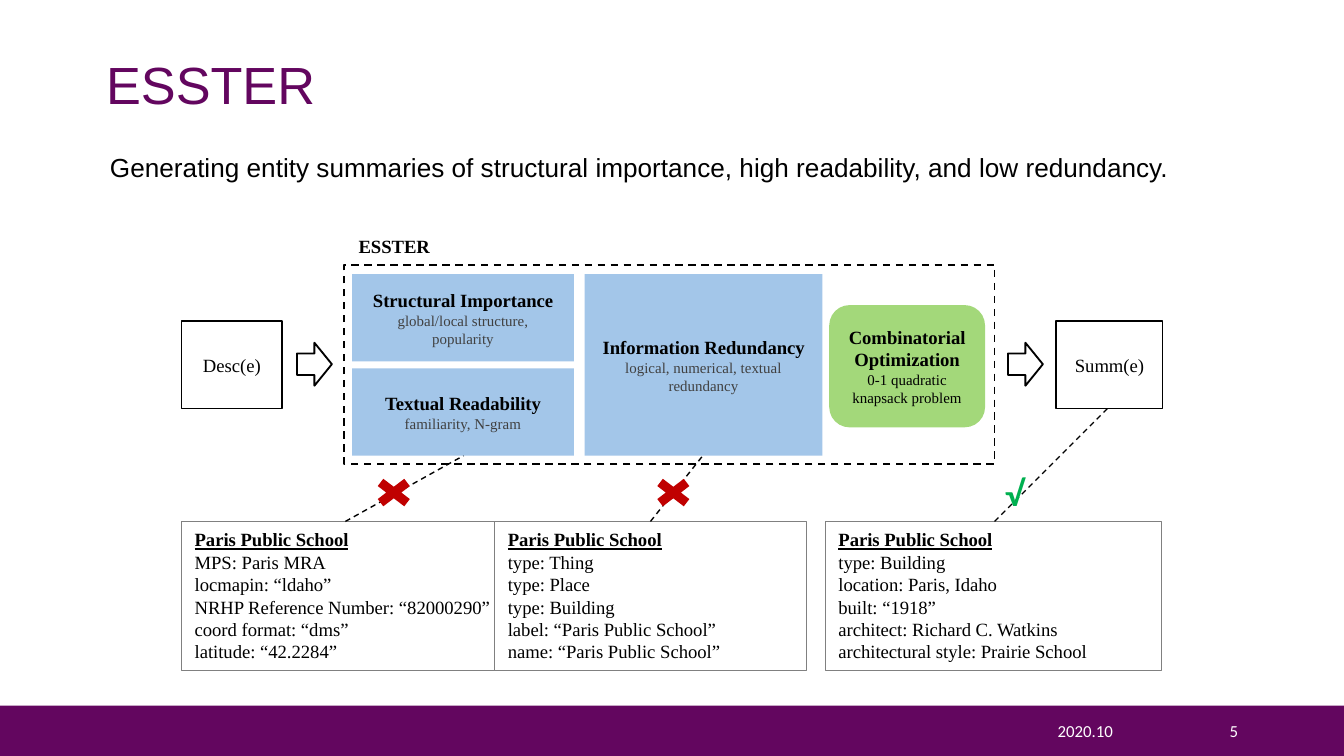
"""Build the ESSTER overview slide: pipeline diagram with three example summaries."""
from lxml.etree import SubElement
from pptx import Presentation
from pptx.dml.color import RGBColor
from pptx.enum.dml import MSO_LINE
from pptx.enum.shapes import MSO_CONNECTOR, MSO_SHAPE
from pptx.enum.text import MSO_ANCHOR, PP_ALIGN
from pptx.oxml.ns import qn
from pptx.util import Inches, Pt

PURPLE = RGBColor(0x63, 0x06, 0x5F)
BLUE = RGBColor(0xA3, 0xC6, 0xE9)
LIME = RGBColor(0xA3, 0xD8, 0x7A)
GREEN = RGBColor(0x00, 0xB0, 0x50)
RED = RGBColor(0xC0, 0x00, 0x00)
GRAY = RGBColor(0x80, 0x80, 0x80)
DARK = RGBColor(0x40, 0x40, 0x40)
BLACK = RGBColor(0, 0, 0)
WHITE = RGBColor(0xFF, 0xFF, 0xFF)
SERIF = "Times New Roman"

TITLE = "ESSTER"
TAGLINE = ("Generating entity summaries of structural importance, "
           "high readability, and low redundancy.")
ENTITY = "Paris Public School"
SUMMARIES = [
    (1.35, 2.44, ["MPS: Paris MRA", "locmapin: “ldaho”",
                  "NRHP Reference Number: “82000290”",
                  "coord format: “dms”", "latitude: “42.2284”"]),
    (3.68, 2.32, ["type: Thing", "type: Place", "type: Building",
                  "label: “Paris Public School”", "name: “Paris Public School”"]),
    (6.14, 2.5, ["type: Building", "location: Paris, Idaho", "built: “1918”",
                 "architect: Richard C. Watkins",
                 "architectural style: Prairie School"]),
]
SUMMARY_TOP, SUMMARY_HEIGHT = 3.88, 1.11
LINKS = [(2.57, 3.45, 3.39), (4.84, 5.23, 3.39), (7.4, 8.25, 3.03)]
CROSSES = [2.74, 4.82]
ARROWS = [2.21, 7.5]
ENDPOINTS = [("Desc(e)", 1.35, 0.75), ("Summ(e)", 7.86, 0.79)]
MODULES = [
    ("Structural Importance", "global/local structure, popularity",
     (2.62, 2.04, 1.65, 0.65), MSO_SHAPE.RECTANGLE, BLUE, DARK),
    ("Textual Readability", "familiarity, N-gram",
     (2.62, 2.74, 1.65, 0.65), MSO_SHAPE.RECTANGLE, BLUE, DARK),
    ("Information Redundancy", "logical, numerical, textual redundancy",
     (4.35, 2.04, 1.77, 1.35), MSO_SHAPE.RECTANGLE, BLUE, DARK),
    ("Combinatorial Optimization", "0-1 quadratic knapsack problem",
     (6.17, 2.27, 1.16, 0.91), MSO_SHAPE.ROUNDED_RECTANGLE, LIME, BLACK),
]
LABELS = [
    ("2020.10", (7.39, 5.29, 1.37, 0.3), 9, "Calibri", WHITE, False,
     PP_ALIGN.CENTER, MSO_ANCHOR.MIDDLE),
    ("5", (8.76, 5.29, 0.55, 0.3), 9, "Calibri", WHITE, False,
     PP_ALIGN.RIGHT, MSO_ANCHOR.MIDDLE),
    (TITLE, (2.57, 1.7, 0.74, 0.27), 10, SERIF, BLACK, True,
     PP_ALIGN.LEFT, MSO_ANCHOR.TOP),
    ("√", (7.38, 3.47, 0.45, 0.4), 18, "Lato", GREEN, True,
     PP_ALIGN.LEFT, MSO_ANCHOR.TOP),
    (TAGLINE, (0.72, 1.08, 8.54, 0.34), 14, "Arial", BLACK, False,
     PP_ALIGN.LEFT, MSO_ANCHOR.TOP),
]


def place(box):
    return [Inches(length) for length in box]


def style(paragraph, size, font=SERIF, color=BLACK, bold=False, align=PP_ALIGN.LEFT):
    paragraph.alignment = align
    for run in paragraph.runs:
        run.font.size = Pt(size)
        run.font.name = font
        run.font.bold = bold
        run.font.color.rgb = color


def add_block(slide, preset, box, fill=None, line=None, width=1):
    block = slide.shapes.add_shape(preset, *place(box))
    block.shadow.inherit = False
    if fill is None:
        block.fill.background()
    else:
        block.fill.solid()
        block.fill.fore_color.rgb = fill
    if line is None:
        block.line.fill.background()
    else:
        block.line.color.rgb = line
        block.line.width = Pt(width)
    return block


def write(frame, lines, anchor):
    frame.word_wrap = True
    frame.vertical_anchor = anchor
    frame.text = "\n".join(lines)
    return frame.paragraphs


def add_summaries(slide):
    for left, width, facts in SUMMARIES:
        card = add_block(slide, MSO_SHAPE.RECTANGLE,
                         (left, SUMMARY_TOP, width, SUMMARY_HEIGHT), WHITE, GRAY, 0.25)
        heading, *details = write(card.text_frame, [ENTITY, *facts], MSO_ANCHOR.TOP)
        style(heading, 10, bold=True)
        heading.runs[0].font.underline = True
        for detail in details:
            style(detail, 10)
    for start, end, top in LINKS:
        link = slide.shapes.add_connector(
            MSO_CONNECTOR.STRAIGHT, *place((start, SUMMARY_TOP, end, top)))
        link.line.color.rgb = BLACK
        link.line.width = Pt(0.75)
        link.line.dash_style = MSO_LINE.DASH
        SubElement(link._element.spPr, qn("a:effectLst"))
    for left in CROSSES:
        add_block(slide, MSO_SHAPE.MATH_MULTIPLY, (left, 3.52, 0.38, 0.29), RED)


def add_pipeline(slide):
    for left in ARROWS:
        add_block(slide, MSO_SHAPE.RIGHT_ARROW, (left, 2.55, 0.26, 0.32), WHITE, BLACK)
    for name, left, width in ENDPOINTS:
        endpoint = add_block(slide, MSO_SHAPE.RECTANGLE,
                             (left, 2.39, width, 0.65), WHITE, BLACK)
        style(write(endpoint.text_frame, [name], MSO_ANCHOR.MIDDLE)[0], 10,
              align=PP_ALIGN.CENTER)
    for name, detail, box, preset, fill, detail_color in MODULES:
        module = add_block(slide, preset, box, fill)
        heading, note = write(module.text_frame, [name, detail], MSO_ANCHOR.MIDDLE)
        style(heading, 10, bold=True, align=PP_ALIGN.CENTER)
        style(note, 8, color=detail_color, align=PP_ALIGN.CENTER)
    system = add_block(slide, MSO_SHAPE.RECTANGLE, (2.56, 1.97, 4.84, 1.48), line=BLACK)
    system.line.dash_style = MSO_LINE.DASH


def main():
    deck = Presentation()
    deck.slide_width = Inches(10)
    deck.slide_height = deck.slide_width * 9 // 16
    slide = deck.slides.add_slide(deck.slide_layouts[5])

    footer = add_block(slide, MSO_SHAPE.RECTANGLE, (0, 5.25, 10, 0.37), PURPLE)
    footer.height = deck.slide_height - footer.top
    title = slide.shapes.title
    title.left, title.top, title.width, title.height = place((0.69, 0.39, 8.62, 0.53))
    heading = write(title.text_frame, [TITLE], MSO_ANCHOR.MIDDLE)[0]
    heading.line_spacing = 0.9
    style(heading, 28, "Arial", PURPLE)

    add_summaries(slide)
    add_pipeline(slide)
    for text, box, size, font, color, bold, align, anchor in LABELS:
        label = slide.shapes.add_textbox(*place(box))
        style(write(label.text_frame, [text], anchor)[0], size, font, color, bold, align)
    deck.save("out.pptx")


if __name__ == "__main__":
    main()
